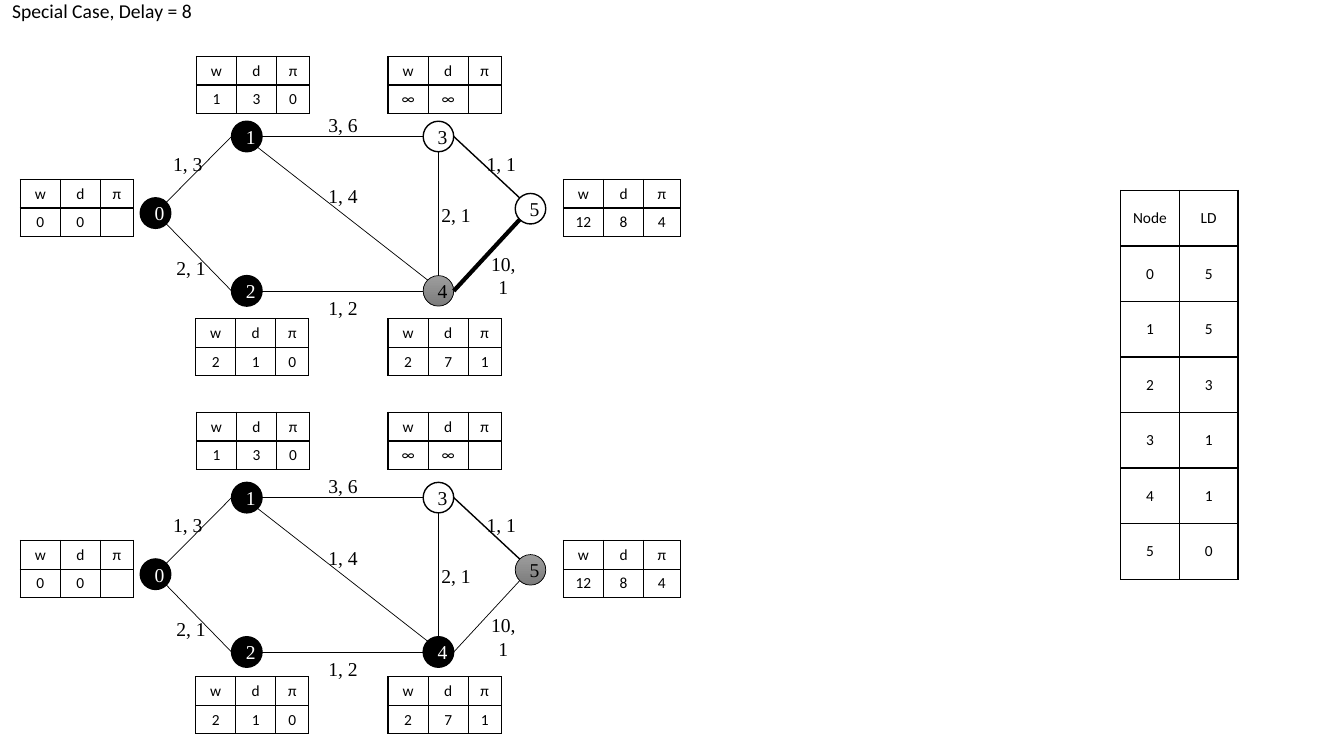
import dataclasses
import math
import typing

import lxml.etree
import pptx
import pptx.dml.color
import pptx.enum.shapes
import pptx.enum.text
import pptx.oxml.ns
import pptx.util

Cm = pptx.util.Cm
Pt = pptx.util.Pt
PP_ALIGN = pptx.enum.text.PP_ALIGN
MSO_ANCHOR = pptx.enum.text.MSO_ANCHOR
qn = pptx.oxml.ns.qn

COLORS = {"black": "000000", "white": "FFFFFF", "light gray": "9D9D9D", "dark gray": "7C7C7C"}

DIAMETER = 0.77
NODE_CENTERS = [(3.92, 5.37), (6.22, 3.44), (6.22, 7.33), (11.05, 3.44), (11.05, 7.33), (13.37, 5.26)]
EDGES = [
    (0, 1, -45, 180, 0.5, "1, 3", 4.01, 3.71),
    (1, 3, 0, 180, 1, "3, 6", 7.92, 2.72),
    (3, 5, 0, -135, 1, "1, 1", 11.91, 3.71),
    (0, 2, 45, 180, 0.5, "2, 1", 4.09, 6.32),
    (4, 5, 0, 135, 0.5, "10, 1", 11.96, 6.22),
    (2, 4, 0, 180, 0.5, "1, 2", 7.92, 7.34),
    (3, 4, 90, -90, 0.5, "2, 1", 10.77, 4.98),
    (1, 4, 45, -135, 0.5, "1, 4", 7.92, 4.52),
]
STATE_TABLES = [
    (0.51, 4.52, 9.1, ["0", "0", ""]),
    (4.95, 1.42, 8.97, ["1", "3", "0"]),
    (9.78, 1.42, 8.97, ["∞", "∞", ""]),
    (4.93, 8.03, 9.02, ["2", "1", "0"]),
    (9.78, 8.03, 9.02, ["2", "7", "1"]),
    (14.2, 4.52, 9.1, ["12", "8", "4"]),
]
STEPS = [
    (0, ["black", "black", "black", "white", "gray", "white"], {(4, 5): 3}),
    (1, ["black", "black", "black", "white", "black", "gray"], {}),
]
GRAPH_SHIFT = 9.1
LATEST_DELAYS = [5, 5, 3, 1, 1, 0]


def rgb(name):
    return pptx.dml.color.RGBColor.from_string(COLORS[name])


@dataclasses.dataclass
class GraphSlide:
    slide: typing.Any
    label_font: str = "Times New Roman"
    table_font: str = "Calibri"
    label_size: float = 14
    table_size: float = 11

    def format_text(self, text_frame, font_name, size, color="black", alignment=PP_ALIGN.CENTER):
        for paragraph in text_frame.paragraphs:
            paragraph.alignment = alignment
            for run in paragraph.runs:
                run.font.name = font_name
                run.font.size = Pt(size)
                run.font.bold = False
                run.font.color.rgb = rgb(color)

    def title(self, text, left, top, width, height):
        shape = self.slide.shapes.title
        shape.left, shape.top, shape.width, shape.height = Cm(left), Cm(top), Cm(width), Cm(height)
        text_frame = shape.text_frame
        text_frame.text = text
        text_frame.vertical_anchor = MSO_ANCHOR.TOP
        text_frame.auto_size = pptx.enum.text.MSO_AUTO_SIZE.SHAPE_TO_FIT_TEXT
        self.format_text(text_frame, self.table_font, self.label_size, alignment=PP_ALIGN.LEFT)

    def node(self, group, text, center, state):
        x, y = center
        shape = group.shapes.add_shape(
            pptx.enum.shapes.MSO_SHAPE.OVAL,
            Cm(x - DIAMETER / 2), Cm(y - DIAMETER / 2), Cm(DIAMETER), Cm(DIAMETER))
        shape.shadow.inherit = False
        if state == "gray":
            shape.fill.gradient()
            shape.fill.gradient_angle = 270
            for stop, color in zip(shape.fill.gradient_stops, ("light gray", "dark gray")):
                stop.color.rgb = rgb(color)
        else:
            shape.fill.solid()
            shape.fill.fore_color.rgb = rgb(state)
        shape.line.color.rgb = rgb("black")
        shape.line.width = Pt(0.5 if state == "gray" else 1)
        shape.text_frame.text = text
        shape.text_frame.vertical_anchor = MSO_ANCHOR.MIDDLE
        text_color = "white" if state == "black" else "black"
        self.format_text(shape.text_frame, self.label_font, self.label_size, text_color)

    def edge(self, group, start, end, width):
        connector = group.shapes.add_connector(
            pptx.enum.shapes.MSO_CONNECTOR.STRAIGHT, *map(Cm, (*start, *end)))
        connector.line.color.rgb = rgb("black")
        connector.line.width = Pt(width)
        lxml.etree.SubElement(connector._element.spPr, qn("a:effectLst"))

    def label(self, group, text, left, top):
        shape = group.shapes.add_textbox(Cm(left), Cm(top), Cm(1.45), Cm(0.86))
        text_frame = shape.text_frame
        text_frame.text = text
        text_frame.word_wrap = True
        text_frame.auto_size = pptx.enum.text.MSO_AUTO_SIZE.SHAPE_TO_FIT_TEXT
        self.format_text(text_frame, self.label_font, self.label_size)

    def cell_borders(self, cell):
        properties = cell._tc.get_or_add_tcPr()
        for index, side in enumerate(("a:lnL", "a:lnR", "a:lnT", "a:lnB")):
            line = lxml.etree.Element(qn(side), w=str(Pt(1)))
            fill = lxml.etree.SubElement(line, qn("a:solidFill"))
            lxml.etree.SubElement(fill, qn("a:srgbClr"), val=COLORS["black"])
            properties.insert(index, line)

    def table(self, rows, left, top, column_widths, row_height):
        table = self.slide.shapes.add_table(
            len(rows), len(column_widths), Cm(left), Cm(top),
            Cm(sum(column_widths)), Cm(row_height * len(rows))).table
        table.first_row = table.horz_banding = False
        for column, width in zip(table.columns, column_widths):
            column.width = Cm(width)
        for row, values in zip(table.rows, rows):
            row.height = Cm(row_height)
            for cell, value in zip(row.cells, values):
                cell.text_frame.text = value
                cell.vertical_anchor = MSO_ANCHOR.MIDDLE
                cell.fill.background()
                self.cell_borders(cell)
                self.format_text(cell.text_frame, self.table_font, self.table_size)
                if not value:
                    paragraph = cell.text_frame.paragraphs[0]
                    lxml.etree.SubElement(
                        paragraph._p, qn("a:endParaRPr"), sz=str(self.table_size * 100))

    def graph(self, step, states, edge_widths):
        shift = step * GRAPH_SHIFT
        group = self.slide.shapes.add_group_shape()
        centers = [(x, y + shift) for x, y in NODE_CENTERS]
        for number, (center, state) in enumerate(zip(centers, states)):
            self.node(group, str(number), center, state)
        for first, second, first_angle, second_angle, width, text, left, top in EDGES:
            self.edge(group, rim_point(centers[first], first_angle),
                      rim_point(centers[second], second_angle),
                      edge_widths.get((first, second), width))
            self.label(group, text, left, top + shift)
        for left, top, table_shift, values in STATE_TABLES:
            last_width = 0.92 if values[0] == "12" else 0.83
            self.table([["w", "d", "π"], values], left, top + step * table_shift,
                       [1.01, 1.01, last_width], 0.72)


def rim_point(center, degrees):
    angle = math.radians(degrees)
    return (center[0] + DIAMETER / 2 * math.cos(angle), center[1] + DIAMETER / 2 * math.sin(angle))


def main():
    presentation = pptx.Presentation()
    presentation.slide_width = Cm(33.87)
    presentation.slide_height = Cm(19.05)
    graph_slide = GraphSlide(presentation.slides.add_slide(presentation.slide_layouts[5]))
    graph_slide.title("Special Case, Delay = 8", 0.05, -0.15, 13.7, 0.86)
    delay_rows = [[str(node), str(delay)] for node, delay in enumerate(LATEST_DELAYS)]
    graph_slide.table([["Node", "LD"], *delay_rows], 28.24, 4.8, [1.48, 1.48], 1.4)
    for step, states, edge_widths in STEPS:
        graph_slide.graph(step, states, edge_widths)
    presentation.save("out.pptx")


if __name__ == "__main__":
    main()
